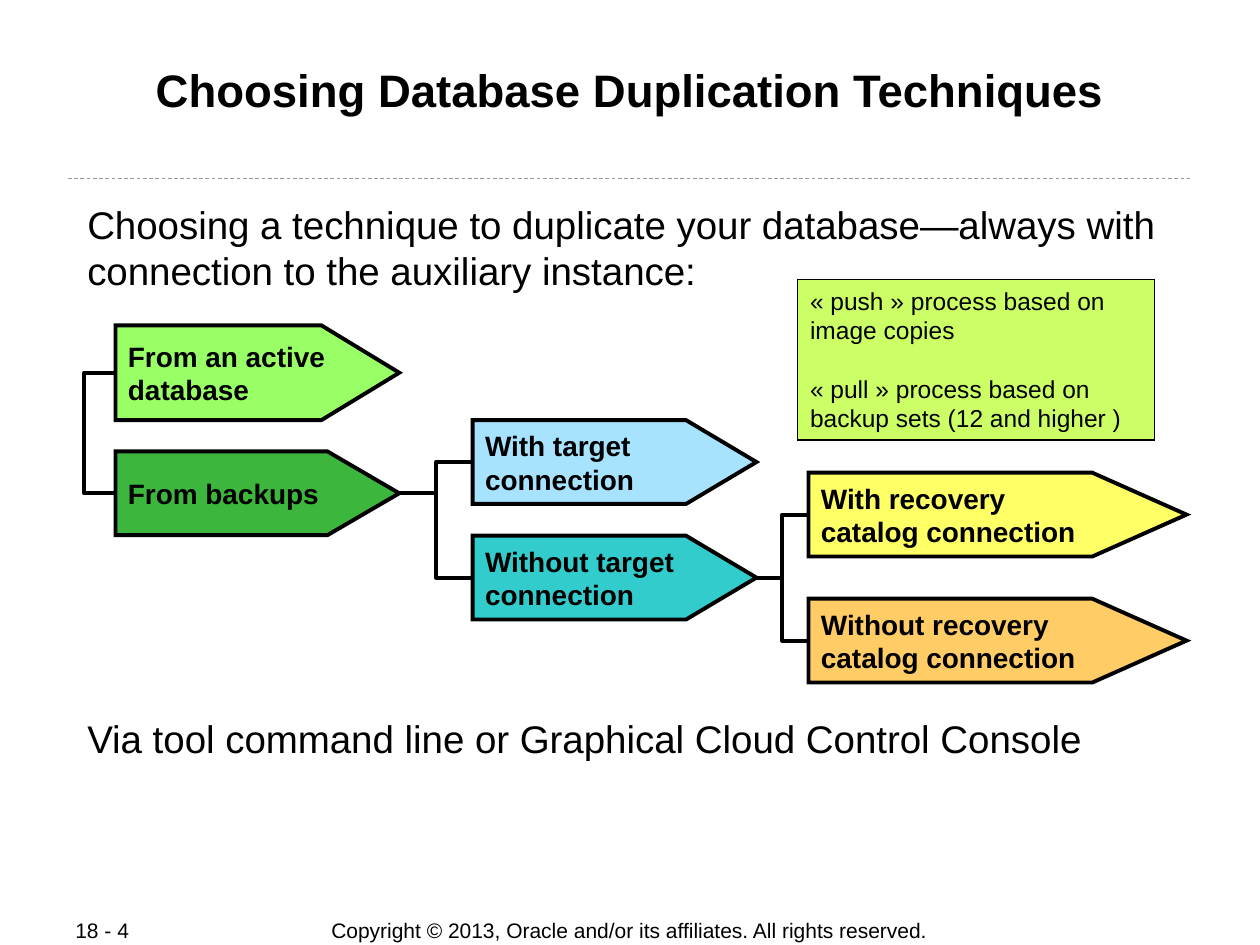
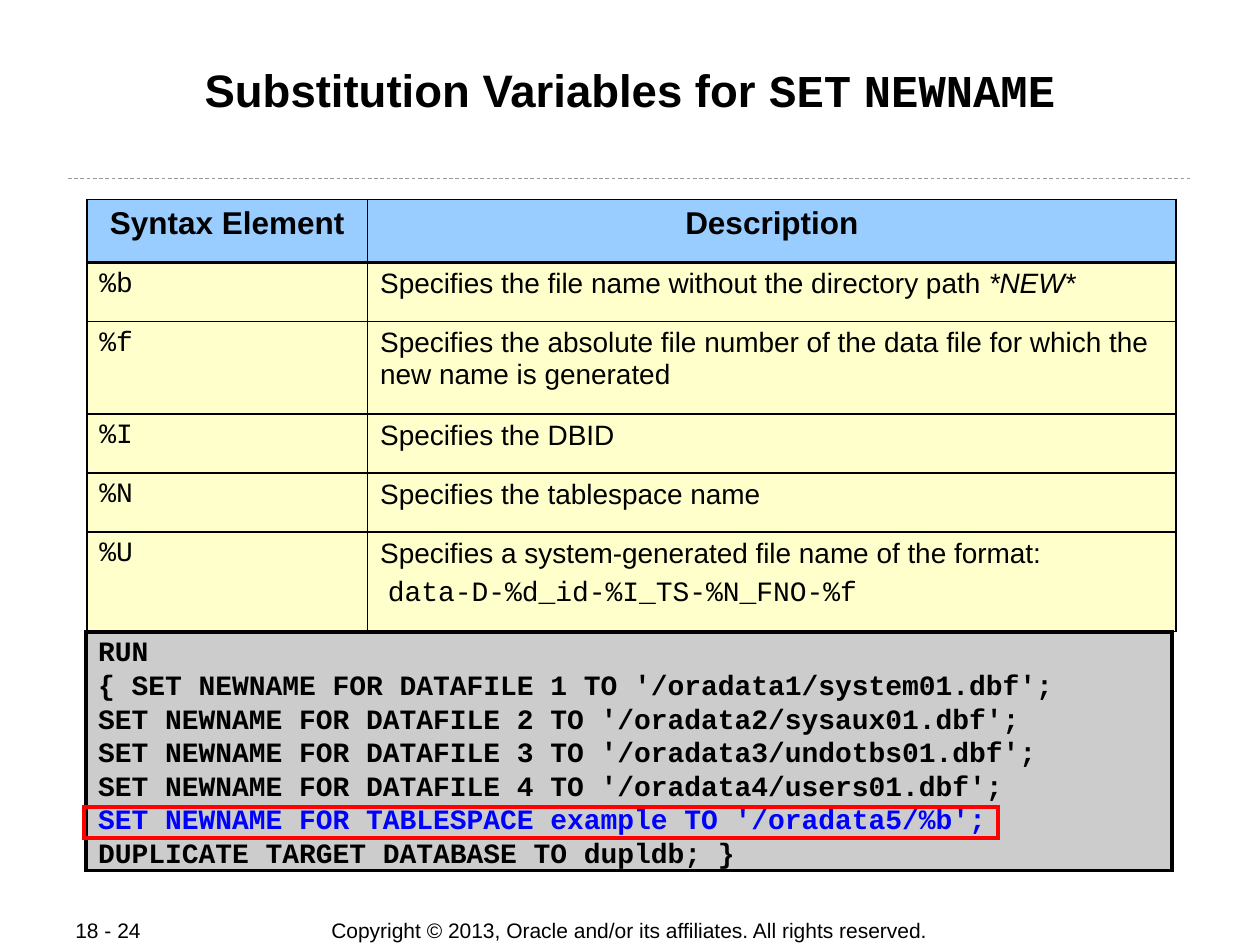
from dataclasses import dataclass
from typing import NamedTuple, Optional

import pptx
import pptx.dml.color
import pptx.enum.dml
import pptx.enum.shapes
import pptx.enum.text
import pptx.oxml
import pptx.oxml.ns
import pptx.util

Cm = pptx.util.Cm
Pt = pptx.util.Pt
RGBColor = pptx.dml.color.RGBColor
Align = pptx.enum.text.PP_ALIGN
Anchor = pptx.enum.text.MSO_ANCHOR
Preset = pptx.enum.shapes.MSO_SHAPE
Connector = pptx.enum.shapes.MSO_CONNECTOR

BLACK = RGBColor(0x00, 0x00, 0x00)
RULE_GRAY = RGBColor(0x99, 0x99, 0x99)
LIGHT_GREEN = RGBColor(0x99, 0xFF, 0x66)
GREEN = RGBColor(0x3C, 0xB6, 0x3C)
LIGHT_BLUE = RGBColor(0xA7, 0xE2, 0xFF)
TEAL = RGBColor(0x33, 0xCC, 0xCC)
YELLOW = RGBColor(0xFF, 0xFF, 0x66)
ORANGE = RGBColor(0xFF, 0xCC, 0x66)
NOTE_LIME = RGBColor(0xCC, 0xFF, 0x66)
HEADER_BLUE = RGBColor(0x99, 0xCC, 0xFF)
CELL_CREAM = RGBColor(0xFF, 0xFF, 0xCC)
CODE_GRAY = RGBColor(0xCC, 0xCC, 0xCC)
CODE_BLUE = RGBColor(0x00, 0x00, 0xFF)
RED = RGBColor(0xFF, 0x00, 0x00)

SANS = "Arial"
MONO = "Courier New"
COPYRIGHT = "Copyright © 2013, Oracle and/or its affiliates. All rights reserved."


class Run(NamedTuple):
    text: str
    font: str = SANS
    italic: bool = False


class Box(NamedTuple):
    """Place and size in centimetres."""
    left: float
    top: float
    width: float
    height: float

    def lengths(self) -> list:
        return [Cm(value) for value in self]


@dataclass(frozen=True)
class Style:
    size: float
    bold: bool = False
    align: Align = Align.LEFT
    gap: float = 0


@dataclass(frozen=True)
class Arrow:
    lines: tuple
    fill: RGBColor
    box: Box
    point: float

    @property
    def left(self) -> tuple:
        return self.box.left, self.box.top + self.box.height / 2

    @property
    def right(self) -> tuple:
        return self.box.left + self.box.width, self.left[1]


PAGE_STYLE = Style(12)
COPYRIGHT_STYLE = Style(12, align=Align.CENTER)
TITLE_STYLE = Style(26, bold=True, align=Align.CENTER)
BODY_STYLE = Style(22)
ARROW_STYLE = Style(16, bold=True)
NOTE_STYLE = Style(14, gap=16.5)
CODE_STYLE = Style(16, bold=True)
HEADER_STYLE = Style(18, bold=True, align=Align.CENTER)
CELL_STYLE = Style(16, gap=4)

FROM_ACTIVE = Arrow(("From an active", "database"), LIGHT_GREEN,
                    Box(2.33, 6.56, 5.72, 1.91), 1.57)
FROM_BACKUPS = Arrow(("From backups",), GREEN, Box(2.33, 9.1, 5.72, 1.69), 1.45)
WITH_TARGET = Arrow(("With target", "connection"), LIGHT_BLUE,
                    Box(9.53, 8.47, 5.72, 1.69), 1.42)
WITHOUT_TARGET = Arrow(("Without target", "connection"), TEAL,
                       Box(9.53, 10.8, 5.72, 1.69), 1.42)
WITH_CATALOG = Arrow(("With recovery", "catalog connection"), YELLOW,
                     Box(16.3, 9.53, 7.62, 1.69), 1.9)
WITHOUT_CATALOG = Arrow(("Without recovery", "catalog connection"), ORANGE,
                        Box(16.3, 12.07, 7.62, 1.69), 1.9)
ARROWS = (FROM_ACTIVE, FROM_BACKUPS, WITH_TARGET, WITHOUT_TARGET,
          WITH_CATALOG, WITHOUT_CATALOG)

COLUMN_WIDTHS = (5.66, 16.3)
ROW_HEIGHTS = (1.27, 1.19, 1.86, 1.19, 1.19, 2.01)
# Each description is a list of paragraphs, each paragraph a list of runs.
VARIABLES = (
    ("%b", [[Run("Specifies the file name without the directory path "),
             Run("*NEW*", italic=True)]]),
    ("%f", [[Run("Specifies the absolute file number of the data file "
                 "for which the new name is generated")]]),
    ("%I", [[Run("Specifies the DBID")]]),
    ("%N", [[Run("Specifies the tablespace name")]]),
    ("%U", [[Run("Specifies a system-generated file name of the format:")],
            [Run(" "), Run("data-D-%d_id-%I_TS-%N_FNO-%f", MONO)]]),
)
CODE_LINES = (
    "RUN",
    "{ SET NEWNAME FOR DATAFILE 1 TO '/oradata1/system01.dbf';",
    "SET NEWNAME FOR DATAFILE 2 TO '/oradata2/sysaux01.dbf';",
    "SET NEWNAME FOR DATAFILE 3 TO '/oradata3/undotbs01.dbf';",
    "SET NEWNAME FOR DATAFILE 4 TO '/oradata4/users01.dbf';",
    "SET NEWNAME FOR TABLESPACE example TO '/oradata5/%b';",
    "DUPLICATE TARGET DATABASE TO dupldb; }",
)
HIGHLIGHTED_LINE = 5


def write_text(text_frame, paragraphs: list, style: Style) -> None:
    """Fill a frame with paragraphs, each a list of runs."""
    for index, runs in enumerate(paragraphs):
        paragraph = text_frame.add_paragraph() if index else text_frame.paragraphs[0]
        paragraph.alignment = style.align
        paragraph.space_before = Pt(style.gap if index else 0)
        for item in runs:
            run = paragraph.add_run()
            run.text = item.text
            run.font.name = item.font
            run.font.size = Pt(style.size)
            run.font.bold = style.bold
            run.font.italic = item.italic
            run.font.color.rgb = BLACK


def plain(lines: tuple, font: str = SANS) -> list:
    return [[Run(line, font)] for line in lines]


def set_margins(text_frame, side: float, top: float) -> None:
    text_frame.margin_left = text_frame.margin_right = Cm(side)
    text_frame.margin_top = text_frame.margin_bottom = Cm(top)


def add_text(slide, box: Box, text: str, style: Style):
    text_frame = slide.shapes.add_textbox(*box.lengths()).text_frame
    text_frame.word_wrap = True
    write_text(text_frame, plain((text,)), style)
    return text_frame


def add_body(slide, box: Box, text: str) -> None:
    set_margins(add_text(slide, box, text, BODY_STYLE), 0.06, 0.03)


def add_panel(slide, preset: Preset, box: Box, fill: Optional[RGBColor],
              line: RGBColor = BLACK, weight: float = 2.25):
    """Add a sharp-cornered shape that is ready for text."""
    shape = slide.shapes.add_shape(preset, *box.lengths())
    shape.shadow.inherit = False
    if fill is None:
        shape.fill.background()
    else:
        shape.fill.solid()
        shape.fill.fore_color.rgb = fill
    shape.line.color.rgb = line
    shape.line.width = Pt(weight)
    outline = shape._element.spPr.find(pptx.oxml.ns.qn("a:ln"))
    outline.append(pptx.oxml.parse_xml(
        f"<a:miter {pptx.oxml.ns.nsdecls('a')} lim='800000'/>"))
    shape.text_frame.word_wrap = True
    return shape


def add_line(slide, kind: Connector, begin: tuple, end: tuple,
             color: RGBColor, weight: float):
    connector = slide.shapes.add_connector(
        kind, *[Cm(value) for value in (*begin, *end)])
    connector.line.color.rgb = color
    connector.line.width = Pt(weight)
    connector._element.spPr.append(pptx.oxml.parse_xml(
        f"<a:effectLst {pptx.oxml.ns.nsdecls('a')}/>"))
    return connector


def add_elbow(slide, begin: tuple, end: tuple, bend: float) -> None:
    """Draw a right-angled line whose upright stands at x = bend."""
    connector = add_line(slide, Connector.ELBOW, begin, end, BLACK, 2.25)
    ratio = (bend - begin[0]) / (end[0] - begin[0])
    guides = connector._element.spPr.find(".//" + pptx.oxml.ns.qn("a:avLst"))
    guides.append(pptx.oxml.parse_xml(
        f"<a:gd {pptx.oxml.ns.nsdecls('a')} name='adj1' "
        f"fmla='val {round(ratio * 100000)}'/>"))


def add_arrow(slide, arrow: Arrow) -> None:
    shape = add_panel(slide, Preset.PENTAGON, arrow.box, arrow.fill)
    shape.adjustments[0] = arrow.point / arrow.box.height
    shape.text_frame.vertical_anchor = Anchor.MIDDLE
    write_text(shape.text_frame, plain(arrow.lines), ARROW_STYLE)


def add_base_slide(presentation, title_runs: list, page: str):
    """Add a slide with its title, dashed rule and footer."""
    slide = presentation.slides.add_slide(presentation.slide_layouts[5])
    title = slide.shapes.title
    title.left, title.top, title.width, title.height = Box(1.7, 1.22, 22, 2.44).lengths()
    title.text_frame.auto_size = pptx.enum.text.MSO_AUTO_SIZE.NONE
    title.text_frame.vertical_anchor = Anchor.TOP
    set_margins(title.text_frame, 0.03, 0.03)
    write_text(title.text_frame, [title_runs], TITLE_STYLE)

    rule = add_line(slide, Connector.STRAIGHT, (1.37, 3.6), (24.03, 3.6), RULE_GRAY, 0.5)
    rule.line.dash_style = pptx.enum.dml.MSO_LINE.DASH

    for box, text, style in (
            (Box(1.27, 18.49, 2.69, 0.51), page, PAGE_STYLE),
            (Box(6.19, 18.49, 13, 0.53), COPYRIGHT, COPYRIGHT_STYLE)):
        add_text(slide, box, text, style).vertical_anchor = Anchor.MIDDLE
    return slide


def format_cell(cell, fill: RGBColor, top: float, bottom: float) -> None:
    properties = cell._tc.get_or_add_tcPr()
    for side, weight in (("L", 1.08), ("R", 1.08), ("T", top), ("B", bottom)):
        properties.append(pptx.oxml.parse_xml(
            f"<a:ln{side} {pptx.oxml.ns.nsdecls('a')} w='{Pt(weight)}'>"
            f"<a:solidFill><a:srgbClr val='{BLACK}'/></a:solidFill></a:ln{side}>"))
    cell.fill.solid()
    cell.fill.fore_color.rgb = fill


def add_variable_table(slide) -> None:
    box = Box(1.75, 4.02, sum(COLUMN_WIDTHS), sum(ROW_HEIGHTS))
    table = slide.shapes.add_table(
        len(ROW_HEIGHTS), len(COLUMN_WIDTHS), *box.lengths()).table
    table.horz_banding = False
    for column, width in zip(table.columns, COLUMN_WIDTHS):
        column.width = Cm(width)
    header = tuple(plain((name,)) for name in ("Syntax Element", "Description"))
    rows = [header] + [(plain((symbol,), MONO), text) for symbol, text in VARIABLES]
    for index, (row, height) in enumerate(zip(rows, ROW_HEIGHTS)):
        table.rows[index].height = Cm(height)
        for column, paragraphs in enumerate(row):
            cell = table.cell(index, column)
            format_cell(cell, CELL_CREAM if index else HEADER_BLUE,
                        top=2.21 if index == 1 else 1.08,
                        bottom=1.08 if index else 2.21)
            write_text(cell.text_frame, paragraphs,
                       CELL_STYLE if index else HEADER_STYLE)


def build_techniques_slide(presentation) -> None:
    slide = add_base_slide(
        presentation, [Run("Choosing Database Duplication Techniques")], "18 - 4")
    add_body(slide, Box(1.7, 4.02, 22, 2.54),
             "Choosing a technique to duplicate your database—always with "
             "connection to the auxiliary instance:")
    for arrow in ARROWS:
        add_arrow(slide, arrow)
    bracket_x, bracket_y = FROM_ACTIVE.left
    add_elbow(slide, (bracket_x + 0.03, bracket_y), FROM_BACKUPS.left, 1.7)
    for parent, children, bend in (
            (FROM_BACKUPS, (WITH_TARGET, WITHOUT_TARGET), 8.79),
            (WITHOUT_TARGET, (WITH_CATALOG, WITHOUT_CATALOG), 15.77)):
        for child in children:
            add_elbow(slide, parent.right, child.left, bend)
    note = add_panel(slide, Preset.RECTANGLE, Box(16.08, 5.64, 7.2, 3.23),
                     NOTE_LIME, weight=0.75)
    note.text_frame.vertical_anchor = Anchor.TOP
    write_text(note.text_frame, plain((
        "« push » process based on image copies",
        "« pull » process based on backup sets (12 and higher )")), NOTE_STYLE)
    add_body(slide, Box(1.7, 14.38, 22, 1),
             "Via tool command line or Graphical Cloud Control Console")


def build_variables_slide(presentation) -> None:
    slide = add_base_slide(
        presentation,
        [Run("Substitution Variables for "), Run("SET", MONO), Run(" "),
         Run("NEWNAME", MONO)], "18 - 24")
    add_variable_table(slide)
    code = add_panel(slide, Preset.RECTANGLE, Box(1.73, 12.75, 21.9, 4.8), CODE_GRAY)
    set_margins(code.text_frame, 0.25, 0.03)
    code.text_frame.vertical_anchor = Anchor.MIDDLE
    write_text(code.text_frame, plain(CODE_LINES, MONO), CODE_STYLE)
    code.text_frame.paragraphs[HIGHLIGHTED_LINE].runs[0].font.color.rgb = CODE_BLUE
    add_panel(slide, Preset.RECTANGLE, Box(1.7, 16.26, 18.42, 0.64), None, RED)


def main() -> None:
    presentation = pptx.Presentation()
    presentation.slide_width = Cm(25.4)
    presentation.slide_height = Cm(19.05)
    build_techniques_slide(presentation)
    build_variables_slide(presentation)
    presentation.save("out.pptx")


if __name__ == "__main__":
    main()
